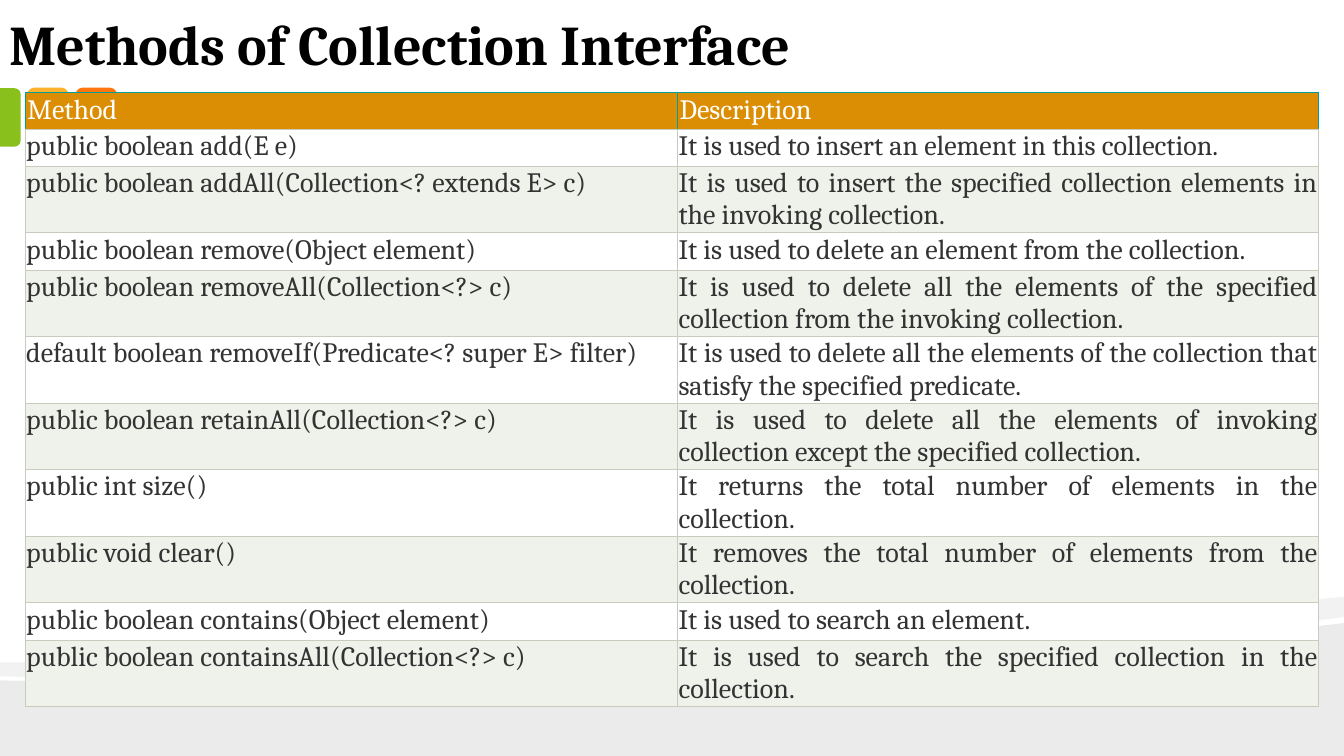
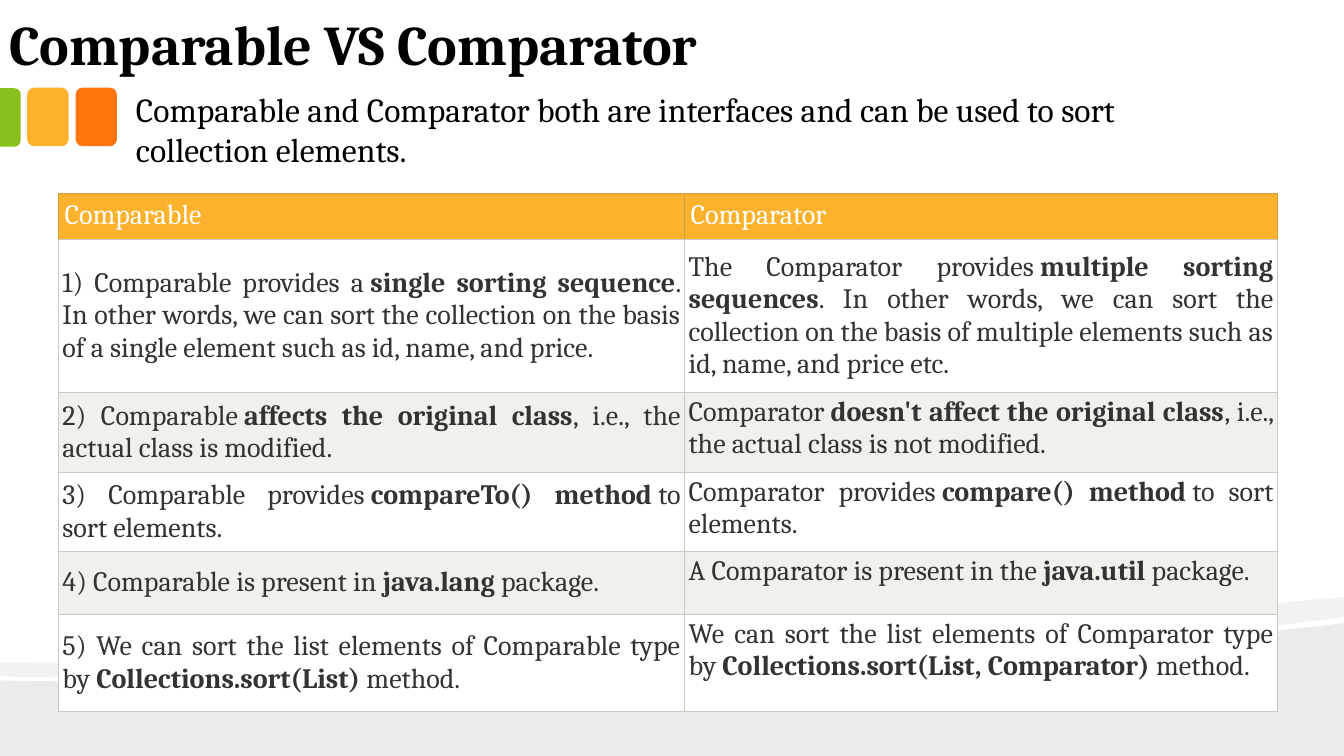
"""Build two slides on Java collection methods and on sorting interfaces."""
from dataclasses import dataclass

from lxml.etree import SubElement
from pptx import Presentation
from pptx.dml.color import RGBColor
from pptx.enum.shapes import MSO_SHAPE as Preset
from pptx.enum.text import MSO_ANCHOR as Anchor
from pptx.enum.text import MSO_AUTO_SIZE as AutoSize
from pptx.enum.text import PP_ALIGN as Align
from pptx.oxml.ns import qn
from pptx.util import Inches, Pt


@dataclass(frozen=True)
class Theme:
    """Colours, font and type sizes of the deck."""
    font: str = "Cambria"
    title_size: int = 40
    lead_size: int = 24
    table_size: int = 20
    black: str = "000000"
    white: str = "FFFFFF"
    body: str = "333333"
    band: str = "EFF1EB"
    grid: str = "C7CCBE"
    grid_width: float = 0.75
    green: str = "89C01C"
    yellow: str = "FCB22C"
    orange: str = "FE750E"
    amber: str = "DB8E03"
    teal: str = "009F99"
    tan: str = "D09C43"


THEME = Theme()
ONE_LINE, TWO_LINES = 0.37, 0.66
HARD_SPACE = chr(160)

METHODS = {
    "at": (0.25, 0.92),
    "columns": (6.47, 6.36),
    "heights": (0.34, ONE_LINE, TWO_LINES, ONE_LINE, *[TWO_LINES] * 5, ONE_LINE, TWO_LINES),
    "header_fill": THEME.amber,
    "header_line": THEME.teal,
    "header_inset": 0.02,
    "body_inset": 0.01,
    "middle": set(),
    "rows": [
        ("Method", "Description"),
        ("public boolean add(E e)", "It is used to insert an element in this collection."),
        ("public boolean addAll(Collection<? extends E> c)",
         "It is used to insert the specified collection elements in the invoking collection."),
        ("public boolean remove(Object element)",
         "It is used to delete an element from the collection."),
        ("public boolean removeAll(Collection<?> c)",
         "It is used to delete all the elements of the specified collection "
         "from the invoking collection."),
        ("default boolean removeIf(Predicate<? super E> filter)",
         "It is used to delete all the elements of the collection that "
         "satisfy the specified predicate."),
        ("public boolean retainAll(Collection<?> c)",
         "It is used to delete all the elements of invoking collection "
         "except the specified collection."),
        ("public int size()", "It returns the total number of elements in the collection."),
        ("public void clear()", "It removes the total number of elements from the collection."),
        ("public boolean contains(Object element)", "It is used to search an element."),
        ("public boolean containsAll(Collection<?> c)",
         "It is used to search the specified collection in the collection."),
    ],
}

COMPARISON = {
    "at": (0.58, 1.92),
    "columns": (6.21, 5.88),
    "heights": (0.44, 1.52, 0.79, 0.79, 0.62, 0.97),
    "header_fill": THEME.yellow,
    "header_line": THEME.tan,
    "header_inset": 0.06,
    "body_inset": 0.04,
    "middle": {(1, 1), *((row, 0) for row in range(1, 6))},
    "rows": [
        ("Comparable", "Comparator"),
        ("1) Comparable provides a **single sorting sequence**. In other words, we can sort "
         "the collection on the basis of a single element such as id, name, and price.",
         "The Comparator provides **multiple sorting sequences**. In other words, we can sort "
         "the collection on the basis of multiple elements such as id, name, and price etc."),
        ("2) Comparable **affects the original class**, i.e., the actual class is modified.",
         "Comparator **doesn't affect the original class**, i.e., "
         "the actual class is not modified."),
        ("3) Comparable provides **compareTo() method** to sort elements.",
         "Comparator provides **compare() method** to sort elements."),
        ("4) Comparable is present in **java.lang** package.",
         "A Comparator is present in the **java.util** package."),
        ("5) We can sort the list elements of Comparable type by "
         "**Collections.sort(List)** method.",
         "We can sort the list elements of Comparator type by "
         "**Collections.sort(List, Comparator)** method."),
    ],
}

SLIDES = [
    {"title": "Methods of Collection Interface", "lead": None, "table": METHODS},
    {"title": "Comparable VS Comparator",
     "lead": "Comparable and Comparator both are interfaces and can be used to sort "
             "collection elements.",
     "table": COMPARISON},
]

WAVES = [
    {"opacity": 8, "start": (13.33, 6.18), "steps": [
        [(13.33, 7.5)], [(0, 7.5)], [(0, 6.75)],
        [(3.52, 6.83), (10.42, 6.55), (13.33, 6.18)]]},
    {"opacity": 5, "start": (13.33, 5.92), "steps": [
        [(13.33, 6.12)],
        [(12.55, 6.23), (11.49, 6.33), (10.29, 6.41)],
        [(6.98, 6.63), (2.58, 6.77), (0, 6.71)],
        [(0, 6.57)],
        [(6.52, 6.62), (9.71, 6.27), (13.33, 5.92)]]},
]

TABS = [
    (Preset.ROUNDED_RECTANGLE, (0.75, 0.87, 0.41, 0.58), 0, THEME.orange),
    (Preset.ROUNDED_RECTANGLE, (0.27, 0.87, 0.41, 0.58), 0, THEME.yellow),
    (Preset.ROUND_2_SAME_RECTANGLE, (-0.19, 1.06, 0.58, 0.21), 90, THEME.green),
]


def inches(values):
    """Turn numbers into lengths."""
    return [Inches(value) for value in values]


def paint(shape, color):
    """Give a shape a plain fill without line or shadow."""
    shape.shadow.inherit = False
    shape.line.fill.background()
    shape.fill.solid()
    shape.fill.fore_color.rgb = RGBColor.from_string(color)


def style(para, size, color, bold=False):
    """Set the font of a paragraph."""
    font = para.font
    font.name, font.size, font.bold = THEME.font, Pt(size), bold
    font.color.rgb = RGBColor.from_string(color)


def bend(shape, steps):
    """Turn each three-point step of a straight outline into one cubic curve."""
    segments = iter(shape.element.xpath(".//a:lnTo"))
    for step in steps:
        parts = [next(segments) for _ in step]
        if len(parts) == 3:
            first, *others = parts
            curve = first.makeelement(qn("a:cubicBezTo"))
            first.addprevious(curve)
            for part in parts:
                curve.append(part[0])
                part.getparent().remove(part)


def add_wave(page, wave):
    """Draw a translucent wave along the foot of the page."""
    points = [inches(point) for step in wave["steps"] for point in step]
    builder = page.shapes.build_freeform(*inches(wave["start"]))
    builder.add_line_segments(points, close=True)
    shape = builder.convert_to_shape()
    bend(shape, wave["steps"])
    paint(shape, THEME.black)
    color = shape.element.spPr.find(qn("a:solidFill")).find(qn("a:srgbClr"))
    SubElement(color, qn("a:alpha"), val=str(wave["opacity"] * 1000))
    return shape


def add_tab(page, preset, place, rotation, color):
    """Draw one coloured tab at the left edge."""
    shape = page.shapes.add_shape(preset, *inches(place))
    shape.rotation = rotation
    if preset == Preset.ROUND_2_SAME_RECTANGLE:
        shape.adjustments[0] = 0.29
    paint(shape, color)
    return shape


def decorate(layout, page):
    """Draw the shared decoration and move it to the layout."""
    shapes = [add_wave(page, wave) for wave in WAVES]
    shapes += [add_tab(page, *tab) for tab in TABS]
    for number, shape in enumerate(shapes, 101):
        shape.element.xpath("./p:nvSpPr/p:cNvPr")[0].set("id", str(number))
        layout.shapes.element.append(shape.element)


def set_title(page, text):
    """Place and format the title."""
    title = page.shapes.title
    title.left, title.top, title.width, title.height = inches((-0.04, 0, 10.37, 0.83))
    frame = title.text_frame
    frame.text = text
    frame.auto_size, frame.word_wrap = AutoSize.NONE, True
    frame.vertical_anchor = Anchor.BOTTOM
    frame.margin_left = frame.margin_right = Inches(0.13)
    frame.margin_top = frame.margin_bottom = Inches(0.07)
    para = frame.paragraphs[0]
    para.alignment = Align.LEFT
    style(para, THEME.title_size, THEME.black, bold=True)


def add_lead(page, text):
    """Add the sentence under the title."""
    frame = page.shapes.add_textbox(*inches((1.25, 0.83, 11.27, 0.91))).text_frame
    frame.word_wrap = True
    frame.text = text
    style(frame.paragraphs[0], THEME.lead_size, THEME.black)


def set_borders(cell, color):
    """Rule a cell: the given colour around it, the grid colour below."""
    properties = cell._tc.get_or_add_tcPr()
    for side in "LRTB":
        line = SubElement(properties, qn(f"a:ln{side}"), w=str(Pt(THEME.grid_width)))
        fill = SubElement(line, qn("a:solidFill"))
        SubElement(fill, qn("a:srgbClr"), val=THEME.grid if side == "B" else color)


def add_spans(para, text):
    """Write bold words between double asterisks, joined by hard spaces."""
    text = text.replace(" **", f"{HARD_SPACE}**").replace("** ", f"**{HARD_SPACE}")
    for index, part in enumerate(text.split("**")):
        span = para.add_run()
        span.text = part
        if index % 2:
            span.font.bold = True


def fill_cell(cell, text, row, column, data):
    """Write and format one table cell."""
    header = row == 0
    set_borders(cell, data["header_line"] if header else THEME.grid)
    cell.fill.solid()
    banding = THEME.white if row % 2 else THEME.band
    cell.fill.fore_color.rgb = RGBColor.from_string(data["header_fill"] if header else banding)
    inset = Inches(data["header_inset"] if header else data["body_inset"])
    cell.margin_left = cell.margin_right = cell.margin_top = cell.margin_bottom = inset
    cell.vertical_anchor = Anchor.MIDDLE if (row, column) in data["middle"] else Anchor.TOP
    para = cell.text_frame.paragraphs[0]
    para.alignment = Align.LEFT if header else Align.JUSTIFY
    style(para, THEME.table_size, THEME.white if header else THEME.body)
    add_spans(para, text)


def add_grid(page, data):
    """Add a table with its column widths and row heights."""
    columns, heights, rows = data["columns"], data["heights"], data["rows"]
    size = sum(columns), sum(heights)
    table = page.shapes.add_table(len(rows), len(columns), *inches((*data["at"], *size))).table
    table.horz_banding = False
    for column, width in zip(table.columns, columns):
        column.width = Inches(width)
    for table_row, height in zip(table.rows, heights):
        table_row.height = Inches(height)
    for row, texts in enumerate(rows):
        for column, text in enumerate(texts):
            fill_cell(table.cell(row, column), text, row, column, data)


def main():
    """Build and save the deck."""
    deck = Presentation()
    deck.slide_width, deck.slide_height = inches((13.33, 7.5))
    layout = deck.slide_layouts.get_by_name("Title Only")
    for index, content in enumerate(SLIDES):
        page = deck.slides.add_slide(layout)
        if index == 0:
            decorate(layout, page)
        set_title(page, content["title"])
        if content["lead"]:
            add_lead(page, content["lead"])
        add_grid(page, content["table"])
    deck.save("out.pptx")


if __name__ == "__main__":
    main()
